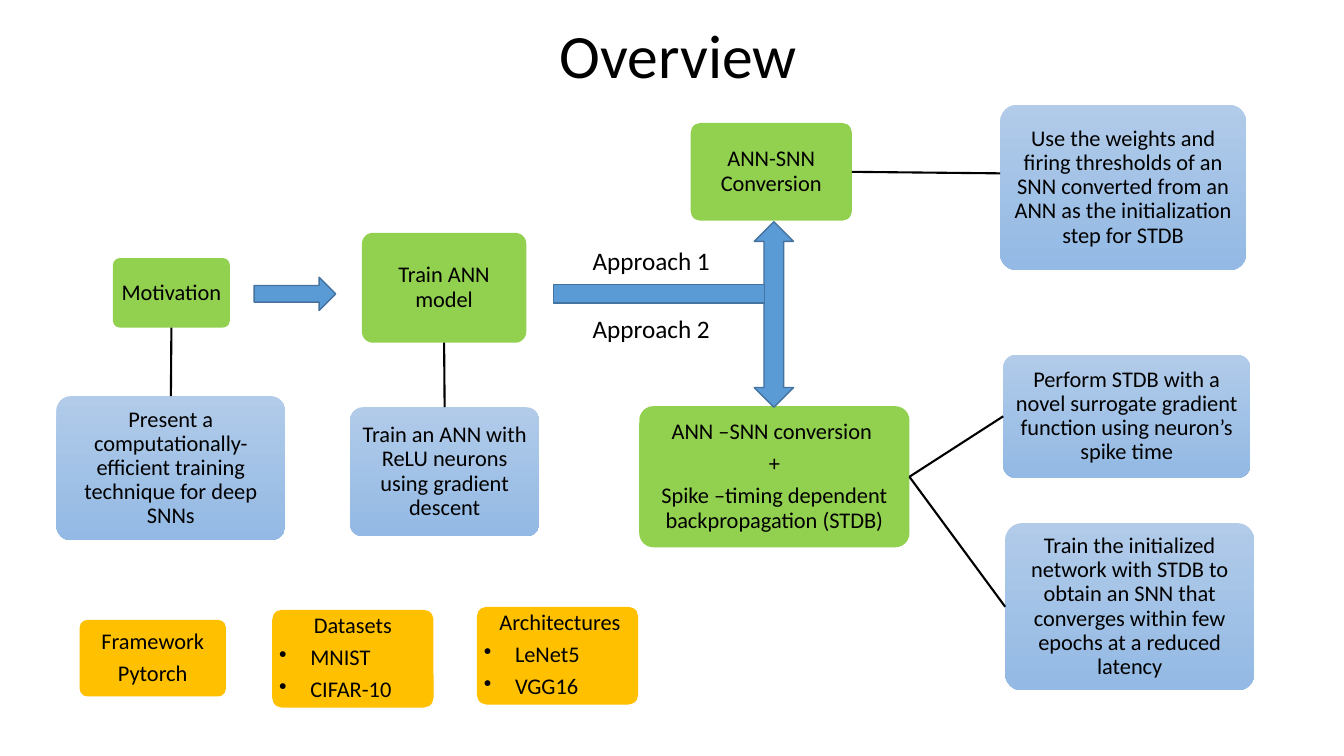
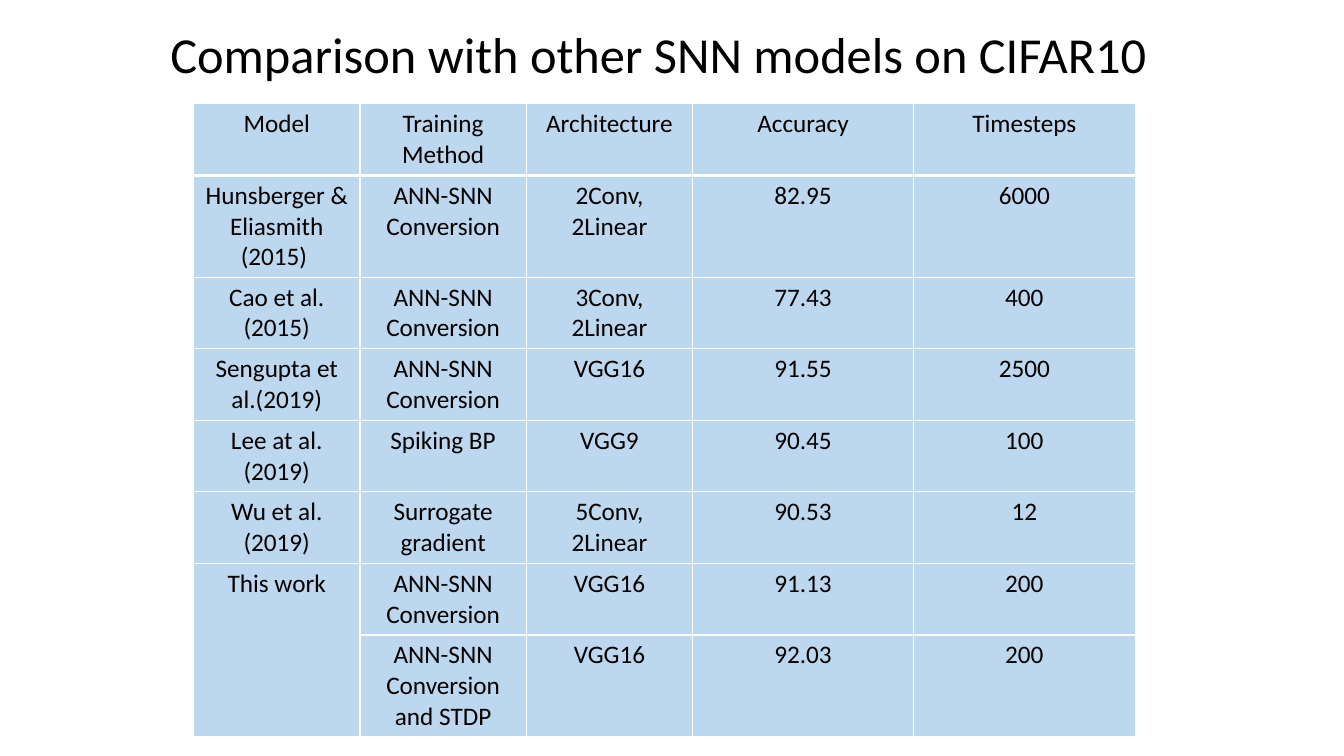
from lxml import etree
from pptx import Presentation
from pptx.dml.color import RGBColor
from pptx.enum.shapes import MSO_CONNECTOR, MSO_SHAPE
from pptx.enum.text import MSO_ANCHOR, PP_ALIGN
from pptx.oxml.ns import qn
from pptx.util import Inches, Pt

ROUND = MSO_SHAPE.ROUNDED_RECTANGLE
RIGHT = MSO_SHAPE.RIGHT_ARROW
UPDOWN = MSO_SHAPE.UP_DOWN_ARROW
MINUS = MSO_SHAPE.MATH_MINUS
STRAIGHT = MSO_CONNECTOR.STRAIGHT
CENTER, LEFT = PP_ALIGN.CENTER, PP_ALIGN.LEFT
MIDDLE, TOP = MSO_ANCHOR.MIDDLE, MSO_ANCHOR.TOP
NORTH, WEST, SOUTH, EAST = range(4)

FONT = "Calibri"
BLACK, WHITE = "000000", "FFFFFF"
GREEN, GOLD = "92D050", "FFC000"
BLUE, EDGE, PALE = "5B9BD5", "43739E", "BDD7EE"
FADE = ("B1CBE9", "93B9E4")
BULLET = "•"

# name: (left, top, width, height), fill, paragraphs
BOXES = {
    "tool": ((0.79, 6.15, 1.45, 0.76), GOLD, ["Framework", "Pytorch"]),
    "data": ((2.7, 6.05, 1.6, 0.97), GOLD,
             ["Datasets", BULLET + "MNIST", BULLET + "CIFAR-10"]),
    "nets": ((4.73, 6.02, 1.6, 0.97), GOLD,
             [" Architectures", BULLET + "LeNet5", BULLET + "VGG16"]),
    "why": ((1.12, 2.56, 1.16, 0.69), GREEN, ["Motivation"]),
    "train": ((3.59, 2.31, 1.63, 1.09), GREEN, ["Train ANN model"]),
    "convert": ((6.85, 1.22, 1.6, 0.97), GREEN, ["ANN-SNN Conversion"]),
    "hybrid": ((6.34, 4.03, 2.68, 1.4), GREEN,
               ["ANN –SNN conversion ", "+",
                "Spike –timing dependent backpropagation (STDB)"]),
    "why note": ((0.56, 3.93, 2.27, 1.43), FADE,
                 ["Present a computationally-efficient training technique "
                  "for deep SNNs"]),
    "train note": ((3.47, 4.04, 1.88, 1.28), FADE,
                   ["Train an ANN with ReLU neurons using gradient descent"]),
    "weights": ((9.92, 1.04, 2.44, 1.64), FADE,
                ["Use the weights and firing thresholds of an SNN converted "
                 "from an ANN as the initialization step for STDB"]),
    "perform": ((9.95, 3.52, 2.45, 1.22), FADE,
                ["Perform STDB with a novel surrogate gradient function "
                 "using neuron’s spike time"]),
    "refine": ((9.97, 5.19, 2.47, 1.66), FADE,
               ["Train the initialized network with STDB to obtain an SNN "
                "that converges within few epochs at a reduced latency"]),
}
# An end is (box, side) or a point
LINKS = [
    (("why", SOUTH), ("why note", NORTH)),
    (("train", SOUTH), ("train note", NORTH)),
    (("convert", EAST), (9.92, 1.72)),
    (("hybrid", EAST), ("perform", WEST)),
    (("hybrid", EAST), ("refine", WEST)),
]
ARROWS = [
    (RIGHT, (2.52, 2.75, 0.81, 0.33)),
    (UPDOWN, (7.48, 2.2, 0.39, 1.84)),
    (MINUS, (5.11, 2.53, 2.85, 0.77)),
]
LABELS = [("Approach 1", 2.38), ("Approach 2", 3.06)]

COLS = [1.65, 1.65, 1.65, 2.19, 2.2]
TALL, LOW = 1.01, 0.71
ROWS = [
    (LOW, ["Model", "Training Method", "Architecture", "Accuracy",
           "Timesteps"]),
    (TALL, ["Hunsberger & Eliasmith (2015) ", "ANN-SNN Conversion",
            "2Conv, 2Linear", "82.95", "6000"]),
    (LOW, ["Cao et al. (2015)", "ANN-SNN Conversion", "3Conv, 2Linear",
           "77.43", "400"]),
    (LOW, ["Sengupta et al.(2019)", "ANN-SNN Conversion", "VGG16",
           "91.55", "2500"]),
    (LOW, ["Lee at al. (2019)", "Spiking BP", "VGG9", "90.45", "100"]),
    (LOW, ["Wu et al. (2019)", "Surrogate gradient", "5Conv, 2Linear",
           "90.53", "12"]),
    (LOW, ["This work", "ANN-SNN Conversion", "VGG16", "91.13", "200"]),
    (TALL, ["", "ANN-SNN Conversion and STDP", "VGG16", "92.03", "200"]),
]


def color(code):
    return RGBColor.from_string(code)


def place(at):
    return [Inches(n) for n in at]


def write(para, text, size, align=CENTER):
    para.alignment = align
    run = para.add_run()
    run.text = text
    font = run.font
    font.name, font.size, font.bold = FONT, Pt(size), False
    font.color.rgb = color(BLACK)


def add_text(slide, at, text, size, align=LEFT, anchor=TOP):
    frame = slide.shapes.add_textbox(*place(at)).text_frame
    frame.word_wrap = True
    frame.vertical_anchor = anchor
    para = frame.paragraphs[0]
    write(para, text, size, align)
    return para


def add_title(slide, at, text, size):
    add_text(slide, at, text, size, CENTER, MIDDLE).line_spacing = 0.9


def add_bullet(para):
    props = para._p.get_or_add_pPr()
    props.set("marL", str(Inches(0.31)))
    props.set("indent", str(-Inches(0.31)))
    etree.SubElement(props, qn("a:buChar")).set("char", BULLET)


def add_box(slide, at, fill, lines):
    box = slide.shapes.add_shape(ROUND, *place(at))
    box.adjustments[0] = 0.1
    box.shadow.inherit = False
    box.line.fill.background()
    if fill == FADE:
        box.fill.gradient()
        box.fill.gradient_angle = 270
        for stop, code in zip(box.fill.gradient_stops, fill):
            stop.color.rgb = color(code)
    else:
        box.fill.solid()
        box.fill.fore_color.rgb = color(fill)
    frame = box.text_frame
    frame.word_wrap = True
    frame.vertical_anchor = MIDDLE
    frame.margin_left = frame.margin_right = Inches(0.04)
    frame.margin_top = frame.margin_bottom = Inches(0.04)
    for i, line in enumerate(lines):
        para = frame.add_paragraph() if i else frame.paragraphs[0]
        para.line_spacing = 0.9
        para.space_after = Pt(5.6)
        item = line.startswith(BULLET)
        write(para, line.lstrip(BULLET), 16, LEFT if item else CENTER)
        if item:
            add_bullet(para)
    return box


def add_link(slide, boxes, start, end):
    link = slide.shapes.add_connector(STRAIGHT, 0, 0, 0, 0)
    link.begin_connect(boxes[start[0]], start[1])
    if end[0] in boxes:
        link.end_connect(boxes[end[0]], end[1])
    else:
        link.end_x, link.end_y = place(end)
    link.line.color.rgb = color(BLACK)
    link.line.width = Pt(1.5)
    etree.SubElement(link._element.spPr, qn("a:effectLst"))


def add_arrow(slide, kind, at):
    arrow = slide.shapes.add_shape(kind, *place(at))
    arrow.shadow.inherit = False
    arrow.fill.solid()
    arrow.fill.fore_color.rgb = color(BLUE)
    arrow.line.color.rgb = color(EDGE)
    arrow.line.width = Pt(1)


def add_edges(cell, base):
    """Draw white cell borders; base is the bottom width in points."""
    props = cell._tc.get_or_add_tcPr()
    sides = (("L", 1), ("R", 1), ("T", 1), ("B", base))
    for i, (side, width) in enumerate(sides):
        edge = etree.Element(qn("a:ln" + side), w=str(Pt(width)))
        fill = etree.SubElement(edge, qn("a:solidFill"))
        etree.SubElement(fill, qn("a:srgbClr")).set("val", WHITE)
        props.insert(i, edge)


def add_grid(slide):
    size = (1.92, 1.03, sum(COLS), sum(high for high, _ in ROWS))
    grid = slide.shapes.add_table(len(ROWS), len(COLS), *place(size)).table
    grid.horz_banding = False
    for col, wide in zip(grid.columns, COLS):
        col.width = Inches(wide)
    for r, (high, texts) in enumerate(ROWS):
        grid.rows[r].height = Inches(high)
        for c, text in enumerate(texts):
            cell = grid.cell(r, c)
            cell.fill.solid()
            cell.fill.fore_color.rgb = color(PALE)
            add_edges(cell, 1 if r else 3)
            if text:
                write(cell.text_frame.paragraphs[0], text, 18)
    last = len(ROWS) - 1
    grid.cell(last - 1, 0).merge(grid.cell(last, 0))


def main():
    deck = Presentation()
    deck.slide_width, deck.slide_height = place((13.33, 7.5))
    blank = deck.slide_layouts[6]

    slide = deck.slides.add_slide(blank)
    add_title(slide, (0.98, 0.07, 11.5, 1.02), "Overview", 44)
    boxes = {name: add_box(slide, *box) for name, box in BOXES.items()}
    for start, end in LINKS:
        add_link(slide, boxes, start, end)
    for kind, at in ARROWS:
        add_arrow(slide, kind, at)
    for text, top in LABELS:
        add_text(slide, (5.78, top, 1.5, 0.4), text, 18)

    slide = deck.slides.add_slide(blank)
    add_title(slide, (0.84, 0.1, 11.5, 0.93),
              "Comparison with other SNN models on CIFAR10 ", 36)
    add_grid(slide)
    deck.save("out.pptx")


if __name__ == "__main__":
    main()
